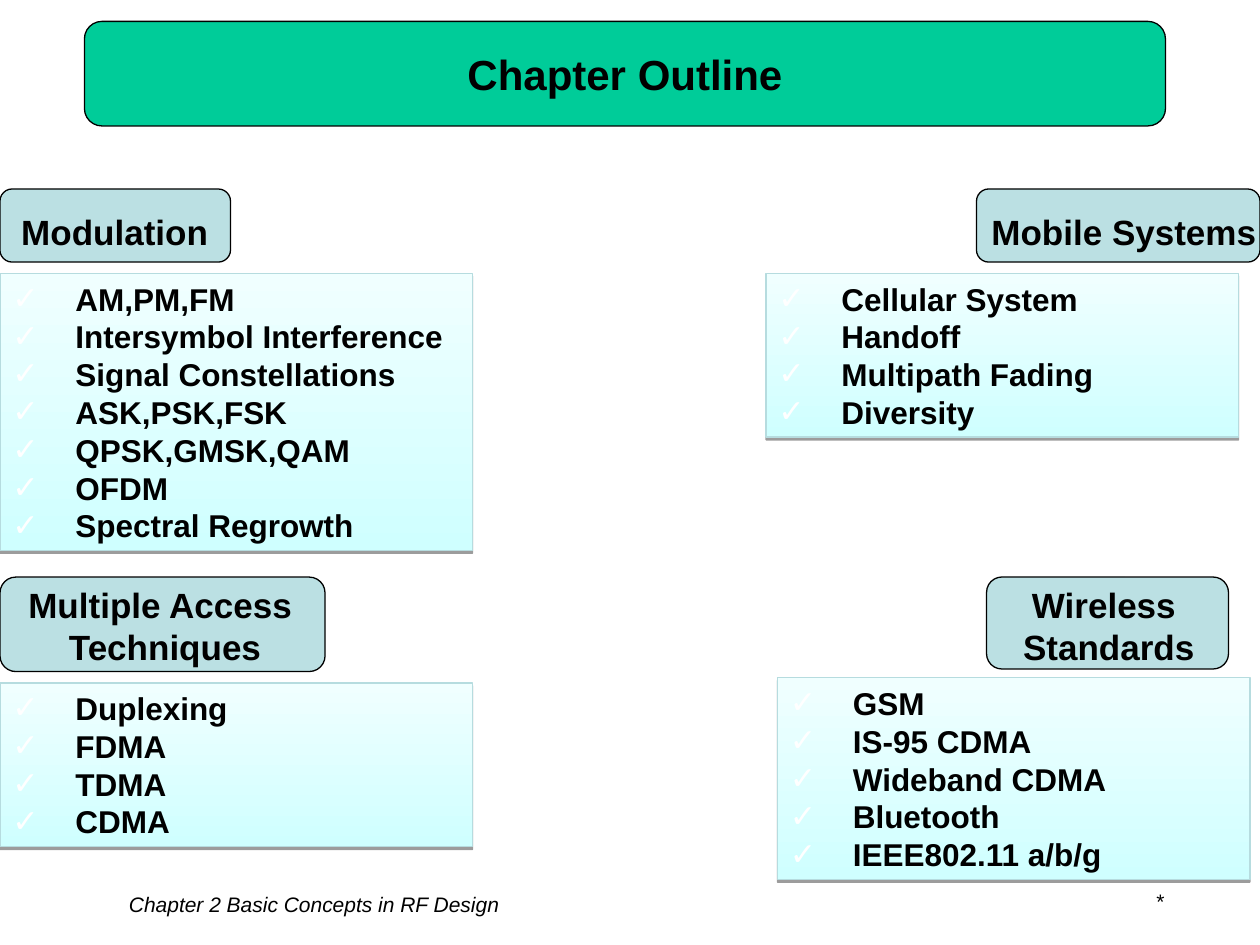
from lxml import etree
from pptx import Presentation
from pptx.dml.color import RGBColor
from pptx.enum import shapes, text
from pptx.oxml import ns
from pptx.util import Inches, Pt

BLACK = RGBColor(0x00, 0x00, 0x00)
BANNER_GREEN = RGBColor(0x00, 0xCC, 0x99)
LABEL_BLUE = RGBColor(0xBB, 0xE0, 0xE3)
PANEL_BOTTOM = RGBColor(0xCF, 0xFF, 0xFF)
PANEL_TOP = RGBColor(0xF0, 0xFF, 0xFF)
PANEL_LINE = RGBColor(0xB6, 0xDC, 0xDF)
CHECK_WHITE = RGBColor(0xFF, 0xFF, 0xFF)
FONT = "Arial"
PANEL_WIDTH = 3.75

# Label box, label text box, label lines, panel (left, top, height), panel items
TOPICS = [
    ((0, 1.5, 1.83, 0.58), (0.07, 1.62, 1.68, 0.44), ["Modulation"],
     (0, 2.17, 2.2),
     ["AM,PM,FM", "Intersymbol Interference", "Signal Constellations",
      "ASK,PSK,FSK", "QPSK,GMSK,QAM", "OFDM", "Spectral Regrowth"]),
    ((7.75, 1.5, 2.25, 0.58), (7.77, 1.62, 2.3, 0.44), ["Mobile Systems"],
     (6.08, 2.17, 1.3),
     ["Cellular System", "Handoff", "Multipath Fading", "Diversity"]),
    ((0, 4.58, 2.58, 0.75), (0.12, 4.58, 2.38, 0.77),
     ["Multiple Access ", "Techniques"],
     (0, 5.42, 1.3),
     ["Duplexing", "FDMA", "TDMA", "CDMA"]),
    ((7.83, 4.58, 1.92, 0.73), (8.02, 4.58, 1.56, 0.77),
     ["Wireless ", "Standards"],
     (6.17, 5.38, 1.6),
     ["GSM", "IS-95 CDMA", "Wideband CDMA", "Bluetooth", "IEEE802.11 a/b/g"]),
]


def inches(box):
    return [Inches(value) for value in box]


def write_lines(frame, lines, size, align, bold=False, italic=False, checked=False):
    for index, line in enumerate(lines):
        paragraph = frame.paragraphs[0] if index == 0 else frame.add_paragraph()
        paragraph.alignment = align
        if checked:
            add_check(paragraph)
        run = paragraph.add_run()
        run.text = line
        run.font.name = FONT
        run.font.size = Pt(size)
        run.font.bold = bold
        run.font.italic = italic
        run.font.color.rgb = BLACK


def add_check(paragraph):
    """Give the paragraph a white check mark and a hanging indent."""
    properties = paragraph._p.get_or_add_pPr()
    properties.set("marL", str(Inches(0.5)))
    properties.set("indent", str(-Inches(0.5)))
    color = etree.SubElement(properties, ns.qn("a:buClr"))
    etree.SubElement(color, ns.qn("a:srgbClr"), val=str(CHECK_WHITE))
    etree.SubElement(properties, ns.qn("a:buFont"), typeface=FONT)
    etree.SubElement(properties, ns.qn("a:buChar"), char="✓")


def add_rounded_box(parent, box, fill):
    shape = parent.add_shape(shapes.MSO_SHAPE.ROUNDED_RECTANGLE, *inches(box))
    shape.adjustments[0] = 0.167
    shape.fill.solid()
    shape.fill.fore_color.rgb = fill
    shape.line.color.rgb = BLACK
    shape.line.width = Pt(0.75)
    shape.shadow.inherit = False
    return shape


def add_title(slide, box):
    banner = add_rounded_box(slide.shapes, box, BANNER_GREEN)
    title = slide.shapes.title
    title._element.addprevious(banner._element)  # banner lies behind the title
    title.left, title.top, title.width, title.height = inches(box)
    title.text_frame.vertical_anchor = text.MSO_ANCHOR.MIDDLE
    write_lines(title.text_frame, ["Chapter Outline"], 24, text.PP_ALIGN.CENTER, bold=True)


def add_label(slide, box, text_box, lines):
    group = slide.shapes.add_group_shape()
    add_rounded_box(group.shapes, box, LABEL_BLUE)
    caption = group.shapes.add_textbox(*inches(text_box))
    frame = caption.text_frame
    frame.word_wrap = False
    frame.auto_size = text.MSO_AUTO_SIZE.SHAPE_TO_FIT_TEXT
    frame.margin_left = frame.margin_right = 0  # keeps each line whole
    write_lines(frame, lines, 20, text.PP_ALIGN.CENTER, bold=True)


def add_panel(slide, box, items):
    left, top, height = box
    panel = slide.shapes.add_shape(
        shapes.MSO_SHAPE.RECTANGLE, *inches((left, top, PANEL_WIDTH, height)))
    # Vertical gradient and outline
    panel.fill.gradient()
    panel.fill.gradient_angle = 90
    for stop, color in zip(panel.fill.gradient_stops, (PANEL_BOTTOM, PANEL_TOP)):
        stop.color.rgb = color
    panel.line.color.rgb = PANEL_LINE
    panel.line.width = Pt(0.75)
    # Hard shadow below the panel
    panel.shadow.inherit = False
    effects = panel._element.spPr.find(ns.qn("a:effectLst"))
    shadow = etree.SubElement(effects, ns.qn("a:outerShdw"), blurRad="0",
                              dist=str(Pt(1.6)), dir="5400000", rotWithShape="0")
    color = etree.SubElement(shadow, ns.qn("a:srgbClr"), val=str(BLACK))
    etree.SubElement(color, ns.qn("a:alpha"), val="38000")
    # Checked list
    frame = panel.text_frame
    frame.word_wrap = True
    frame.vertical_anchor = text.MSO_ANCHOR.TOP
    write_lines(frame, items, 18, text.PP_ALIGN.LEFT, bold=True, checked=True)


def add_footer(slide, box, line, italic=False):
    footer = slide.shapes.add_textbox(*inches(box))
    footer.text_frame.word_wrap = True
    write_lines(footer.text_frame, [line], 12, text.PP_ALIGN.CENTER, italic=italic)


def main():
    presentation = Presentation()
    presentation.slide_width, presentation.slide_height = Inches(10), Inches(7.5)
    slide = presentation.slides.add_slide(presentation.slide_layouts[5])

    add_title(slide, (0.67, 0.17, 8.58, 0.83))
    add_footer(slide, (0.08, 7.03, 4.83, 0.3),
               "Chapter 2 Basic Concepts in RF Design", italic=True)
    add_footer(slide, (8.42, 7, 1.58, 0.3), "*")
    for label_box, text_box, lines, panel_box, items in TOPICS:
        add_label(slide, label_box, text_box, lines)
        add_panel(slide, panel_box, items)

    presentation.save("out.pptx")


if __name__ == "__main__":
    main()
